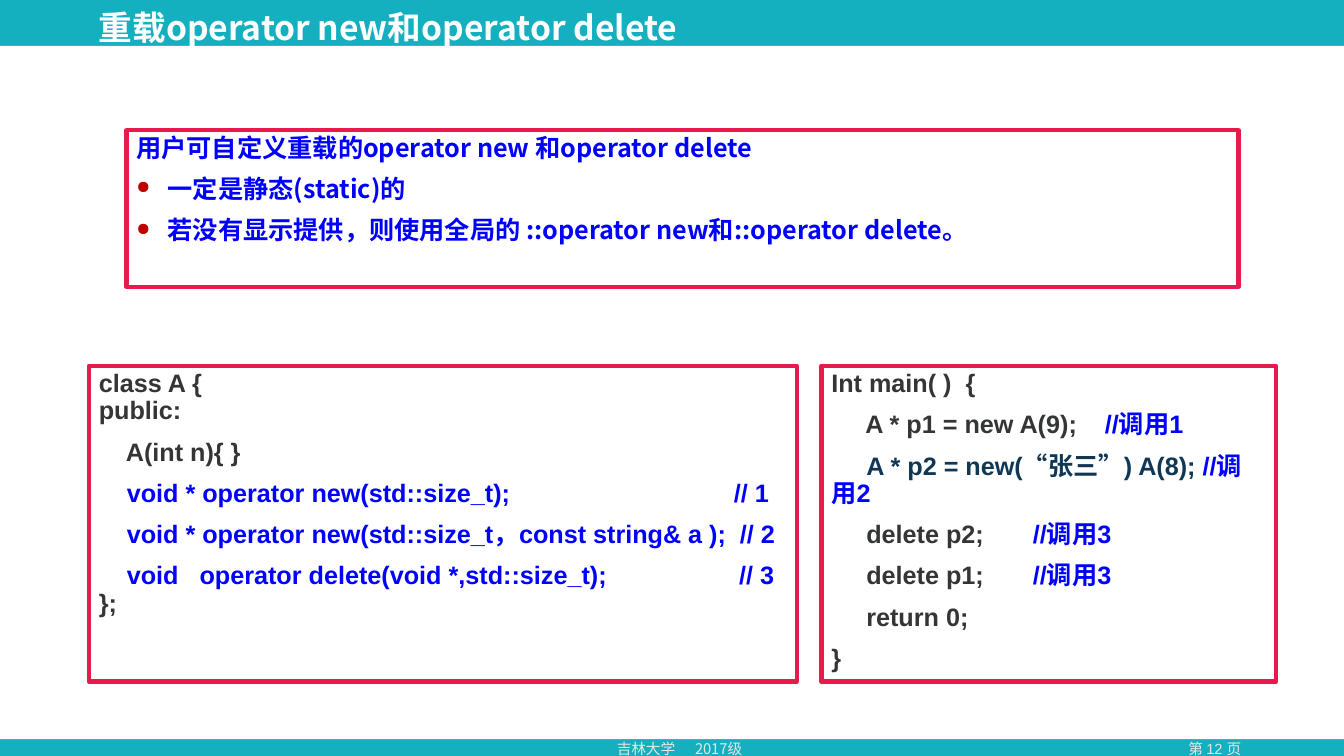
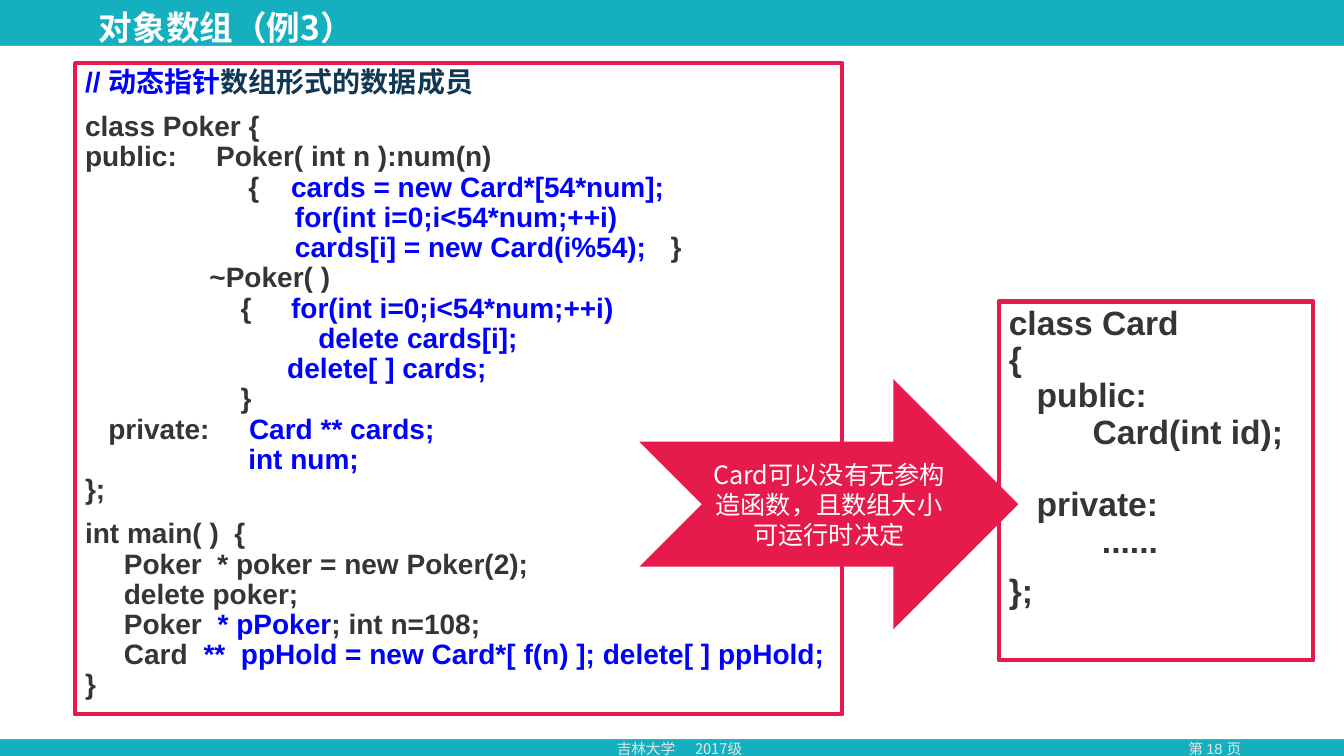
from dataclasses import dataclass
from typing import Any

from lxml.etree import SubElement
from pptx import Presentation
from pptx.dml.color import RGBColor
from pptx.enum.shapes import MSO_SHAPE as Preset
from pptx.enum.text import MSO_ANCHOR as Anchor, PP_ALIGN as Align
from pptx.oxml.ns import qn
from pptx.util import Inches, Pt

WIDTH, HEIGHT = Inches(13.33), Inches(7.5)
TEAL = RGBColor(0x14, 0xB0, 0xC0)
CRIMSON = RGBColor(0xE6, 0x1A, 0x4B)
WHITE = RGBColor(0xFF, 0xFF, 0xFF)
SILVER = RGBColor(0xE7, 0xE6, 0xE6)
BLUE = RGBColor(0x00, 0x00, 0xFF)
INK = RGBColor(0x34, 0x35, 0x37)
NAVY = RGBColor(0x10, 0x37, 0x54)
BULLET_RED = RGBColor(0xC0, 0x00, 0x00)
LATIN, CHINESE = "Arial", "Noto Sans CJK SC"
TITLE_ONLY = 5


@dataclass(frozen=True)
class Box:
    """Percentages of the slide's width and height."""
    left: float
    top: float
    width: float
    height: float

    def place(self) -> tuple[int, int, int, int]:
        return (across(self.left), down(self.top), across(self.width), down(self.height))


@dataclass(frozen=True)
class Style:
    size: float
    font: str = LATIN
    bold: bool = True
    spacing: float = 0.9
    align: Any = Align.LEFT


@dataclass(frozen=True)
class Run:
    text: str
    color: RGBColor = INK


@dataclass(frozen=True)
class Para:
    runs: tuple[Run, ...]
    before: float = 10
    tabs: tuple[float, ...] = ()
    bullet: bool = False


@dataclass(frozen=True)
class Panel:
    box: Box
    style: Style
    paragraphs: tuple[Para, ...]


@dataclass(frozen=True)
class Page:
    title: str
    number: int
    panels: tuple[Panel, ...]


TITLE_BOX = Box(6.6, 0.8, 55.05, 4.8)
BACKDROP = ((Box(0, 0, 100, 100), TEAL), (Box(0, 6.05, 100, 91.72), WHITE))
SCHOOL_BOX = Box(45.16, 97.2, 13.8, 3.73)
NUMBER_BOX = Box(84.92, 97.2, 10.95, 3.73)
ARROW_BOX = Box(47.58, 50.17, 28.2, 33.07)

TITLE_STYLE = Style(24, CHINESE)
SCHOOL_STYLE = Style(10.5, CHINESE, False, 1)
NUMBER_STYLE = Style(10.5, LATIN, False, 1, Align.CENTER)
ARROW_STYLE = Style(18, CHINESE, False, 1, Align.CENTER)
CODE_TOP, CODE_HEIGHT = 48.42, 41.73


def across(percent: float) -> int:
    return round(WIDTH * percent / 100)


def down(percent: float) -> int:
    return round(HEIGHT * percent / 100)


def assign(target: Any, values: dict[str, Any]) -> None:
    for name, value in values.items():
        setattr(target, name, value)


def ink(text: str, **options: Any) -> Para:
    return Para((Run(text),), **options)


def blue(text: str, **options: Any) -> Para:
    return Para((Run(text, BLUE),), **options)


def call(code: str, note: str, tab: float) -> Para:
    return Para((Run(f"     {code}\t"), Run(note, BLUE)), tabs=(tab,))


OVERLOAD = Page("重载operator new和operator delete", 12, (
    Panel(Box(9.41, 17.25, 82.75, 20.67), Style(18, CHINESE), (
        blue("用户可自定义重载的operator new 和operator delete"),
        blue("一定是静态(static)的", bullet=True),
        blue("若没有显示提供，则使用全局的 ::operator new和::operator delete。", bullet=True),
    )),
    Panel(Box(6.62, CODE_TOP, 52.66, CODE_HEIGHT), Style(18), (
        ink("class A {\npublic:"),
        ink("    A(int n){ }"),
        blue("    void * operator new(std::size_t);\t// 1", tabs=(47.25,)),
        blue("    void * operator new(std::size_t，const string& a );  // 2"),
        Para((Run("    void   operator delete(void *,std::size_t);\t// 3\n", BLUE),
              Run("};")), tabs=(47.65,)),
    )),
    Panel(Box(61.12, CODE_TOP, 33.83, CODE_HEIGHT), Style(18), (
        ink("Int main( )  {"),
        call("A * p1 = new A(9);", "//调用1", 20.35),
        Para((Run("     "), Run("A * p2 = new(“张三”) A(8); ", NAVY), Run("//调用2", BLUE))),
        call("delete p2;", "//调用3", 15),
        call("delete p1;", "//调用3", 15),
        ink("     return 0;"),
        ink("}"),
    )),
))

POKER = Page("对象数组（例3）", 18, (
    Panel(Box(74.32, 39.87, 23.4, 47.47), Style(24), (
        ink("class Card\n{\n   public:\n         Card(int id);"),
        ink("   private:\n          ......", before=26),
        ink("};"),
    )),
    Panel(Box(5.59, 8.37, 57.09, 86.13), Style(20), (
        Para((Run("// 动态指针", BLUE), Run("数组形式的数据成员", NAVY))),
        Para((
            Run("class Poker {\npublic:\tPoker( int n ):num(n)\n                     {\t"),
            Run("cards = new Card*[54*num];\n"
                "                           for(int i=0;i<54*num;++i)\n"
                "                           cards[i] = new Card(i%54);", BLUE),
            Run("\t}\n                ~Poker( )\n                    {\t"),
            Run("for(int i=0;i<54*num;++i)\n"
                "                              delete cards[i];\n"
                "                          delete[ ] cards;\n", BLUE),
            Run("                    }"),
        ), tabs=(9.75, 15.33, 43.58)),
        Para((
            Run("   private:\t"),
            Run("Card ** cards;\n                     int num;\n", BLUE),
            Run("};"),
        ), before=0, tabs=(12.2,)),
        Para((
            Run("int main( )  {\n     Poker  * poker = new Poker(2);\n"
                "     delete poker;\n     Poker  "),
            Run("* pPoker", BLUE),
            Run("; int n=108;\n     Card  "),
            Run("**  ppHold = new Card*[ f(n) ]; delete[ ] ppHold;\n", BLUE),
            Run("}"),
        )),
    )),
))


def add_bullet(properties: Any) -> None:
    properties.set("marL", str(Inches(0.31)))
    properties.set("indent", str(-Inches(0.31)))
    color = SubElement(properties, qn("a:buClr"))
    SubElement(color, qn("a:srgbClr"), val=str(BULLET_RED))
    SubElement(properties, qn("a:buSzPct"), val="70000")
    SubElement(properties, qn("a:buChar"), char="●")


def add_tabs(properties: Any, tabs: tuple[float, ...]) -> None:
    tab_list = SubElement(properties, qn("a:tabLst"))
    for tab in tabs:
        SubElement(tab_list, qn("a:tab"), pos=str(across(tab)), algn="l")


def add_run(paragraph: Any, item: Run, style: Style) -> None:
    for index, line in enumerate(item.text.split("\n")):
        if index:
            paragraph.add_line_break()
        if line:
            run = paragraph.add_run()
            run.text = line
            assign(run.font, {"size": Pt(style.size), "bold": style.bold, "name": style.font})
            run.font.color.rgb = item.color
            SubElement(run.font._element, qn("a:ea"), typeface=CHINESE)


def write(shape: Any, paragraphs: tuple[Para, ...], style: Style) -> None:
    frame = shape.text_frame
    frame.word_wrap = True
    for index, item in enumerate(paragraphs):
        paragraph = frame.add_paragraph() if index else frame.paragraphs[0]
        properties = paragraph._p.get_or_add_pPr()
        if item.bullet:
            add_bullet(properties)
        if item.tabs:
            add_tabs(properties, item.tabs)
        assign(paragraph, {
            "alignment": style.align,
            "line_spacing": style.spacing,
            "space_before": Pt(item.before if index else 0),
        })
        for run in item.runs:
            add_run(paragraph, run, style)


def add_text(slide: Any, box: Box, paragraphs: tuple[Para, ...], style: Style) -> Any:
    shape = slide.shapes.add_textbox(*box.place())
    write(shape, paragraphs, style)
    return shape


def add_filled(slide: Any, preset: Any, box: Box, color: RGBColor) -> Any:
    shape = slide.shapes.add_shape(preset, *box.place())
    shape.shadow.inherit = False
    shape.fill.solid()
    shape.fill.fore_color.rgb = color
    shape.line.fill.background()
    return shape


def add_panel(slide: Any, panel: Panel) -> None:
    shape = add_text(slide, panel.box, panel.paragraphs, panel.style)
    shape.line.color.rgb = CRIMSON
    shape.line.width = Pt(3)


def share_backdrop(slide: Any, layout: Any) -> None:
    shapes = [add_filled(slide, Preset.RECTANGLE, box, color) for box, color in BACKDROP]
    school = Para((Run("吉林大学\t2017级", SILVER),), tabs=(5.82,))
    shapes.append(add_text(slide, SCHOOL_BOX, (school,), SCHOOL_STYLE))
    for index, shape in enumerate(shapes):
        shape._element.nvSpPr.cNvPr.set("id", str(100 + index))
        layout.shapes._spTree.insert(2 + index, shape._element)


def add_page(presentation: Any, page: Page) -> Any:
    slide = presentation.slides.add_slide(presentation.slide_layouts[TITLE_ONLY])
    title = slide.shapes.title
    assign(title, dict(zip(("left", "top", "width", "height"), TITLE_BOX.place())))
    write(title, (Para((Run(page.title, WHITE),)),), TITLE_STYLE)
    assign(title.text_frame, {
        "margin_top": Inches(0.05),
        "margin_bottom": 0,
        "vertical_anchor": Anchor.TOP,
    })
    number = Para((Run(f"第 {page.number} 页", SILVER),))
    add_text(slide, NUMBER_BOX, (number,), NUMBER_STYLE)
    for panel in page.panels:
        add_panel(slide, panel)
    return slide


def main() -> None:
    presentation = Presentation()
    assign(presentation, {"slide_width": WIDTH, "slide_height": HEIGHT})
    overload = add_page(presentation, OVERLOAD)
    share_backdrop(overload, overload.slide_layout)
    poker = add_page(presentation, POKER)
    arrow = add_filled(poker, Preset.NOTCHED_RIGHT_ARROW, ARROW_BOX, CRIMSON)
    arrow.text_frame.vertical_anchor = Anchor.MIDDLE
    write(arrow, (Para((Run("Card可以没有无参构造函数，且数组大小可运行时决定", WHITE),)),), ARROW_STYLE)
    presentation.save("out.pptx")


if __name__ == "__main__":
    main()
